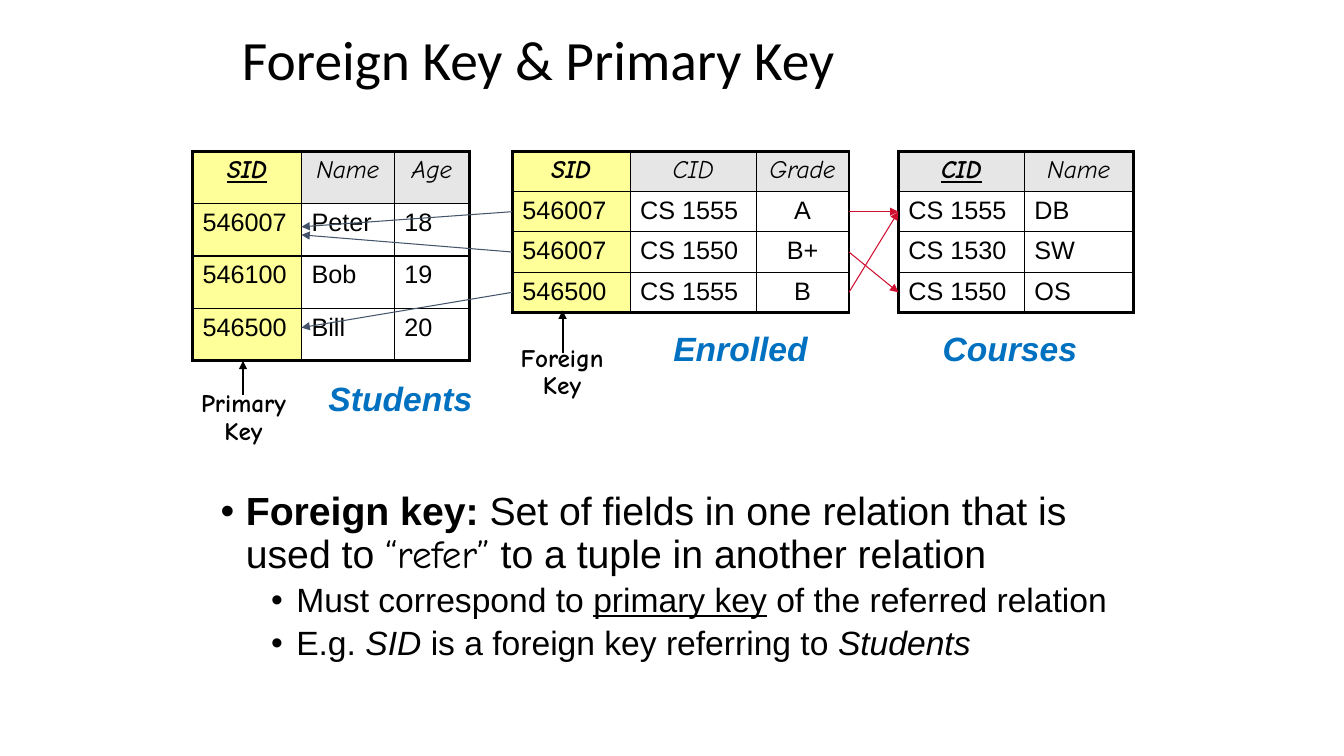
from dataclasses import dataclass

from lxml import etree
from pptx import Presentation
from pptx.dml.color import RGBColor
from pptx.enum.shapes import MSO_CONNECTOR
from pptx.enum.text import MSO_ANCHOR, MSO_AUTO_SIZE, PP_ALIGN
from pptx.oxml.ns import qn
from pptx.util import Inches, Pt

STRAIGHT = MSO_CONNECTOR.STRAIGHT
MIDDLE = MSO_ANCHOR.MIDDLE
NO_AUTOFIT = MSO_AUTO_SIZE.NONE
LEFT, CENTER = PP_ALIGN.LEFT, PP_ALIGN.CENTER
TITLE_ONLY = 5


@dataclass(frozen=True)
class Theme:
    title_font: str = "Calibri"
    body_font: str = "Arial"
    hand_font: str = "Comic Neue"
    ink: str = "000000"
    key_fill: str = "FFFF99"
    header_fill: str = "E7E6E6"
    relation: str = "0070C0"
    student_ref: str = "44546A"
    course_ref: str = "CF0E30"
    title_size: float = 39.6
    point_size: float = 28
    subpoint_size: float = 24
    relation_size: float = 24
    cell_size: float = 18
    outer_line: float = 2.25
    inner_line: float = 1
    ref_line: float = 0.75
    key_line: float = 1.5


THEME = Theme()


@dataclass(frozen=True)
class Relation:
    left: float
    widths: tuple
    row_height: float
    rows: tuple
    primary_key: bool = True
    yellow_key: bool = True
    centered_column: int = -1
    top: float = 1.5

    @property
    def right(self):
        return self.left + sum(self.widths)

    @property
    def bottom(self):
        return self.top + self.row_height * len(self.rows)

    def row_middle(self, row):
        return self.top + self.row_height * (row + 0.5)


STUDENTS = Relation(1.91, (1.08, 0.92, 0.75), 0.52, (
    ("SID", "Name", "Age"),
    ("546007", "Peter", "18"),
    ("546100", "Bob", "19"),
    ("546500", "Bill", "20")))
ENROLLED = Relation(5.08, (1.17, 1.25, 0.92), 0.4, (
    ("SID", "CID", "Grade"),
    ("546007", "CS 1555", "A"),
    ("546007", "CS 1550", "B+"),
    ("546500", "CS 1555", "B")), primary_key=False, centered_column=2)
COURSES = Relation(8.91, (1.25, 1.08), 0.4, (
    ("CID", "Name"),
    ("CS 1555", "DB"),
    ("CS 1530", "SW"),
    ("CS 1550", "OS")), yellow_key=False)

# Each point: level, then runs of (text, style letters b, i, u, or h for handwriting)
POINTS = (
    (0, (("Foreign key:", "b"),
         (" Set of fields in one relation that is used to ", ""),
         ("“refer”", "h"), (" to a tuple in another relation", ""))),
    (1, (("Must correspond to ", ""), ("primary key", "u"),
         (" of the referred relation", ""))),
    (1, (("E.g. ", ""), ("SID ", "i"),
         ("is a foreign key referring to ", ""), ("Students", "i"))),
)


def style(font, name, size, color=THEME.ink, bold=False, italic=False):
    font.name, font.size = name, Pt(size)
    font.color.rgb = RGBColor.from_string(color)
    font.bold, font.italic = bold, italic


def set_title(slide, text):
    title = slide.shapes.title
    title.left, title.top = Inches(2.3), Inches(0.33)
    title.width, title.height = Inches(8.75), Inches(0.58)
    frame = title.text_frame
    frame.text = text
    frame.auto_size, frame.vertical_anchor = NO_AUTOFIT, MIDDLE
    paragraph = frame.paragraphs[0]
    paragraph.alignment, paragraph.line_spacing = LEFT, 0.9
    style(paragraph.font, THEME.title_font, THEME.title_size)


def add_borders(cell, widths):
    """Draw the left, right, top and bottom borders in the given point widths."""
    properties = cell._tc.get_or_add_tcPr()
    for side, width in zip("LRTB", widths):
        line = etree.SubElement(properties, qn(f"a:ln{side}"), w=str(Pt(width)))
        fill = etree.SubElement(line, qn("a:solidFill"))
        etree.SubElement(fill, qn("a:srgbClr"), val=THEME.ink)


def format_cell(cell, relation, row, column):
    header, key = row == 0, column == 0
    last_row, last_column = len(relation.rows) - 1, len(relation.widths) - 1
    on_edge = (key, column == last_column, header, row == last_row)
    add_borders(cell, [THEME.outer_line if edge else THEME.inner_line for edge in on_edge])
    if key and relation.yellow_key or header:
        cell.fill.solid()
        color = THEME.key_fill if key and relation.yellow_key else THEME.header_fill
        cell.fill.fore_color.rgb = RGBColor.from_string(color)
    else:
        cell.fill.background()
    cell.text = relation.rows[row][column]
    paragraph = cell.text_frame.paragraphs[0]
    centered = header or column == relation.centered_column
    paragraph.alignment = CENTER if centered else LEFT
    style(paragraph.font, THEME.hand_font if header else THEME.body_font,
          THEME.cell_size, bold=header and key, italic=header)
    paragraph.font.underline = header and key and relation.primary_key


def add_relation(slide, relation):
    table = slide.shapes.add_table(
        len(relation.rows), len(relation.widths), Inches(relation.left), Inches(relation.top),
        Inches(sum(relation.widths)), Inches(relation.bottom - relation.top)).table
    table.first_row = table.horz_banding = False
    for column, width in enumerate(relation.widths):
        table.columns[column].width = Inches(width)
    for row in range(len(relation.rows)):
        table.rows[row].height = Inches(relation.row_height)
        for column in range(len(relation.widths)):
            format_cell(table.cell(row, column), relation, row, column)


def add_text_frame(slide, left, top, width, height):
    frame = slide.shapes.add_textbox(
        Inches(left), Inches(top), Inches(width), Inches(height)).text_frame
    frame.word_wrap = True
    return frame


def add_label(slide, text, left, top, width, height, alignment, **look):
    frame = add_text_frame(slide, left, top, width, height)
    frame.text = text
    paragraph = frame.paragraphs[0]
    paragraph.alignment, paragraph.line_spacing = alignment, 0.9
    style(paragraph.font, bold=True, **look)


def add_arrow(slide, start, end, color, width):
    arrow = slide.shapes.add_connector(STRAIGHT, *map(Inches, start + end))
    arrow.line.color.rgb = RGBColor.from_string(color)
    arrow.line.width = Pt(width)
    etree.SubElement(arrow.line._get_or_add_ln(), qn("a:tailEnd"), type="triangle")
    etree.SubElement(arrow._element.spPr, qn("a:effectLst"))


def add_points(slide):
    frame = add_text_frame(slide, 2.09, 4.83, 9.41, 2.58)
    for index, (level, runs) in enumerate(POINTS):
        paragraph = frame.add_paragraph() if index else frame.paragraphs[0]
        paragraph.level, paragraph.line_spacing = level, 0.9
        paragraph.space_before = Pt(5 if level else 10)
        properties = paragraph._p.get_or_add_pPr()
        properties.set("marL", str(Inches(0.25 + 0.5 * level)))
        properties.set("indent", str(Inches(-0.25)))
        etree.SubElement(properties, qn("a:buFont"), typeface=THEME.body_font)
        etree.SubElement(properties, qn("a:buChar"), char="•")
        for text, letters in runs:
            run = paragraph.add_run()
            run.text = text
            style(run.font, THEME.hand_font if "h" in letters else THEME.body_font,
                  THEME.subpoint_size if level else THEME.point_size,
                  bold="b" in letters, italic="i" in letters)
            run.font.underline = "u" in letters


def main():
    deck = Presentation()
    deck.slide_width, deck.slide_height = Inches(13.33), Inches(7.5)
    slide = deck.slides.add_slide(deck.slide_layouts[TITLE_ONLY])
    set_title(slide, "Foreign Key & Primary Key")
    for relation in (STUDENTS, COURSES, ENROLLED):
        add_relation(slide, relation)
    for name, left, top, width in (("Students", 3.16, 3.75, 2), ("Courses", 9.25, 3.25, 1.58),
                                   ("Enrolled", 6.58, 3.25, 2)):
        add_label(slide, name, left, top, width, 0.47, LEFT, name=THEME.body_font,
                  size=THEME.relation_size, color=THEME.relation, italic=True)
    sid_edge = STUDENTS.left + STUDENTS.widths[0]
    for row, target in ((1, 2.25), (2, 2.33), (3, 3.25)):
        add_arrow(slide, (ENROLLED.left, ENROLLED.row_middle(row)), (sid_edge, target),
                  THEME.student_ref, THEME.ref_line)
    for row, course_row in ((1, 1), (3, 1), (2, 3)):
        add_arrow(slide, (ENROLLED.right, ENROLLED.row_middle(row)),
                  (COURSES.left, COURSES.row_middle(course_row)),
                  THEME.course_ref, THEME.ref_line)
    add_points(slide)
    for text, left, top, arrow_x, start, end in (
            ("Primary Key", 1.75, 3.83, 2.41, 3.92, 3.58),
            ("Foreign Key", 4.91, 3.38, 5.58, 3.5, 3.08)):
        add_label(slide, text, left, top, 1.33, 0.65, CENTER,
                  name=THEME.hand_font, size=THEME.cell_size)
        add_arrow(slide, (arrow_x, start), (arrow_x, end), THEME.ink, THEME.key_line)
    deck.save("out.pptx")


if __name__ == "__main__":
    main()
